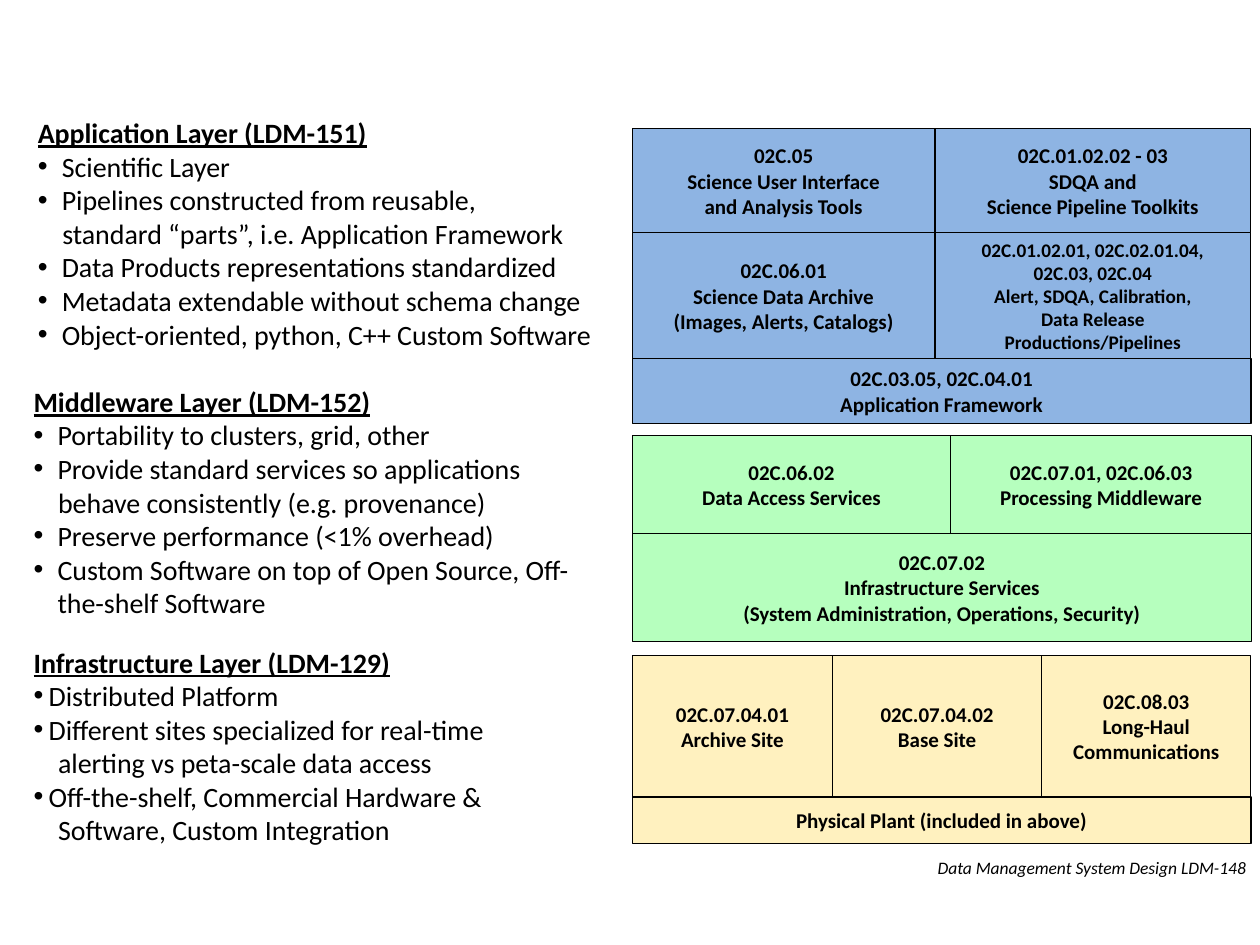
from lxml.etree import SubElement
from pptx import Presentation
from pptx.dml.color import RGBColor
from pptx.enum.shapes import MSO_SHAPE
from pptx.enum.text import MSO_ANCHOR, MSO_AUTO_SIZE, PP_ALIGN
from pptx.oxml.ns import qn
from pptx.util import Pt


def color(hex_text):
    return RGBColor.from_string(hex_text)


def add_span(para, text, size, bold=False, italic=False, underline=False):
    span = para.add_run()
    span.text = text
    span.font.name = "Calibri"
    span.font.size = Pt(size)
    span.font.bold = bold
    span.font.italic = italic
    span.font.underline = underline
    span.font.color.rgb = color("000000")


BLUE, GREEN, YELLOW = "8EB4E3", "B6FFBE", "FFF1BF"
HEADING, BULLET, CONTINUED = "heading", "bullet", "continued"

deck = Presentation()
deck.slide_width = Pt(720)
deck.slide_height = Pt(540)
page = deck.slides.add_slide(deck.slide_layouts.get_by_name("Comparison"))

layers = [
    (1, 14.4, 62.5, 363.5, 142.5, 13.7, [
        (HEADING, "Application Layer (LDM-151)"),
        (BULLET, "Scientific Layer"),
        (BULLET, "Pipelines constructed from reusable,"),
        (CONTINUED, "standard “parts”, i.e. Application Framework"),
        (BULLET, "Data Products representations standardized"),
        (BULLET, "Metadata extendable without schema change"),
        (BULLET, "Object-oriented, python, C++ Custom Software"),
    ]),
    (2, 12, 216, 335, 143.5, 13.7, [
        (HEADING, "Middleware Layer (LDM-152)"),
        (BULLET, "Portability to clusters, grid, other"),
        (BULLET, "Provide standard services so applications"),
        (CONTINUED, "behave consistently (e.g. provenance)"),
        (BULLET, "Preserve performance (<1% overhead)"),
        (BULLET, "Custom Software on top of Open Source, Off-the-shelf Software"),
    ]),
    (3, 12, 365, 366.5, 124, 8.6, [
        (HEADING, "Infrastructure Layer (LDM-129)"),
        (BULLET, "Distributed Platform"),
        (BULLET, "Different sites specialized for real-time"),
        (CONTINUED, "alerting vs peta-scale data access"),
        (BULLET, "Off-the-shelf, Commercial Hardware &"),
        (CONTINUED, "Software, Custom Integration"),
    ]),
]
for index, left, top, width, height, indent, lines in layers:
    box = page.placeholders[index]
    box.left, box.top, box.width, box.height = Pt(left), Pt(top), Pt(width), Pt(height)
    frame = box.text_frame
    frame.word_wrap = True
    frame.auto_size = MSO_AUTO_SIZE.NONE
    frame.vertical_anchor = MSO_ANCHOR.TOP
    for number, (role, text) in enumerate(lines):
        para = frame.add_paragraph() if number else frame.paragraphs[0]
        para.space_before = Pt(0)
        add_span(para, text, 16, bold=role == HEADING, underline=role == HEADING)
        margin = {HEADING: 0, BULLET: indent, CONTINUED: 14}[role]
        settings = para._p.get_or_add_pPr()
        settings.set("marL", str(Pt(margin)))
        settings.set("indent", str(Pt(-indent if role == BULLET else 0)))
        if role == BULLET:
            SubElement(settings, qn("a:buFont")).set("typeface", "Arial")
            SubElement(settings, qn("a:buChar")).set("char", "•")
        else:
            SubElement(settings, qn("a:buNone"))

for holder in (page.shapes.title, page.placeholders[4]):
    holder.element.getparent().remove(holder.element)

rows = [
    (73.5, 59.5, BLUE, [
        (173, 12, ["02C.05", "Science User Interface", "and Analysis Tools"]),
        (180.5, 12, ["02C.01.02.02 - 03", "SDQA and", "Science Pipeline Toolkits"]),
    ]),
    (133, 72, BLUE, [
        (173, 12, ["02C.06.01", "Science Data Archive", "(Images, Alerts, Catalogs)"]),
        (180.5, 11, ["02C.01.02.01, 02C.02.01.04,", "02C.03, 02C.04",
                     "Alert, SDQA, Calibration,", "Data Release",
                     "Productions/Pipelines"]),
    ]),
    (205, 37, BLUE, [
        (353.5, 12, ["02C.03.05, 02C.04.01", "Application Framework"]),
    ]),
    (249, 56, GREEN, [
        (182, 12, ["02C.06.02", "Data Access Services"]),
        (172, 12, ["02C.07.01, 02C.06.03", "Processing Middleware"]),
    ]),
    (305, 61.5, GREEN, [
        (354, 12, ["02C.07.02", "Infrastructure Services",
                   "(System Administration, Operations, Security)"]),
    ]),
    (374.5, 81, YELLOW, [
        (114.5, 12, ["02C.07.04.01", "Archive Site"]),
        (119.5, 12, ["02C.07.04.02", "Base Site"]),
        (119.5, 12, ["02C.08.03", "Long-Haul", "Communications"]),
    ]),
    (455.5, 26.5, YELLOW, [
        (353.5, 12, ["Physical Plant (included in above)"]),
    ]),
]
for top, height, fill, blocks in rows:
    left = 361.3
    for width, size, lines in blocks:
        block = page.shapes.add_shape(
            MSO_SHAPE.RECTANGLE, Pt(left), Pt(top), Pt(width), Pt(height))
        block.shadow.inherit = False
        block.fill.solid()
        block.fill.fore_color.rgb = color(fill)
        block.line.color.rgb = color("000000")
        block.line.width = Pt(0.75)
        frame = block.text_frame
        frame.word_wrap = False
        frame.vertical_anchor = MSO_ANCHOR.MIDDLE
        for number, text in enumerate(lines):
            para = frame.add_paragraph() if number else frame.paragraphs[0]
            para.alignment = PP_ALIGN.CENTER
            add_span(para, text, size, bold=True)
        left += width

reference = page.shapes.add_textbox(Pt(528), Pt(486), Pt(191), Pt(19.5))
reference.text_frame.word_wrap = False
para = reference.text_frame.paragraphs[0]
para.alignment = PP_ALIGN.RIGHT
add_span(para, "Data Management System Design LDM-148", 10, italic=True)

deck.save("out.pptx")
